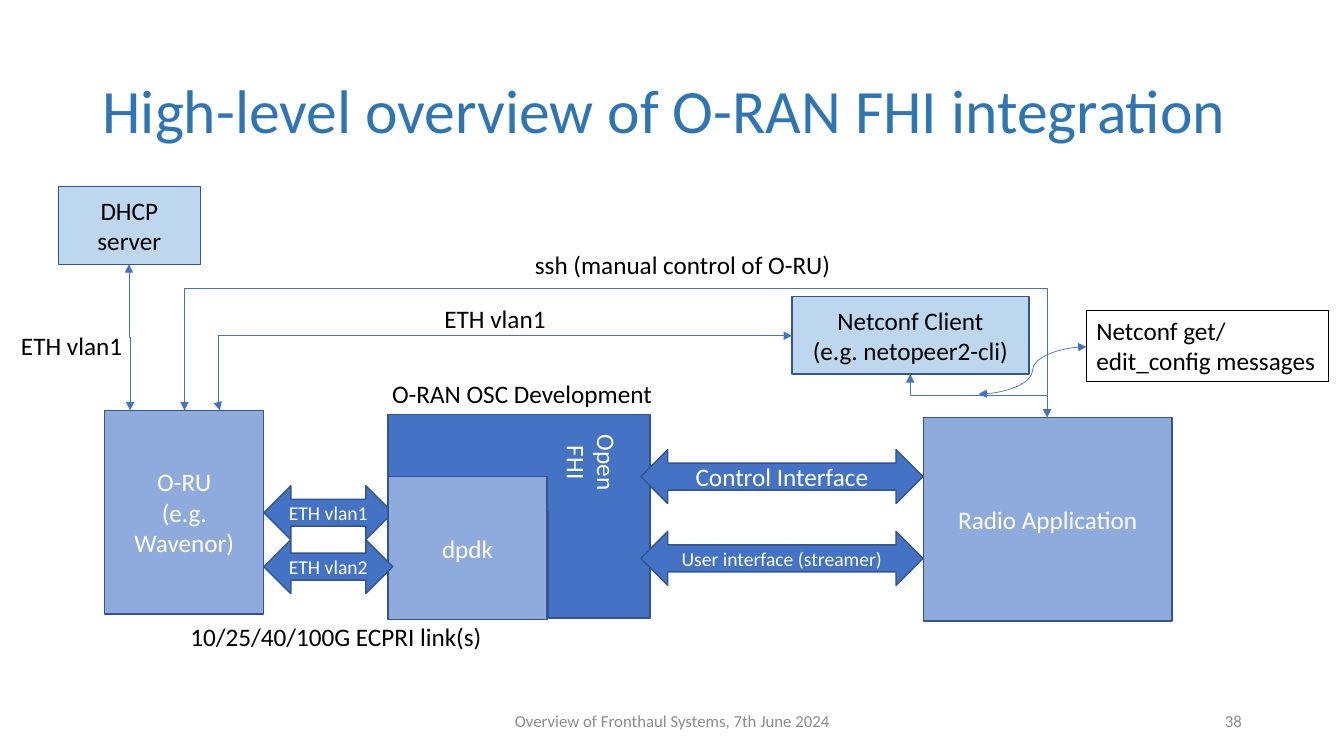
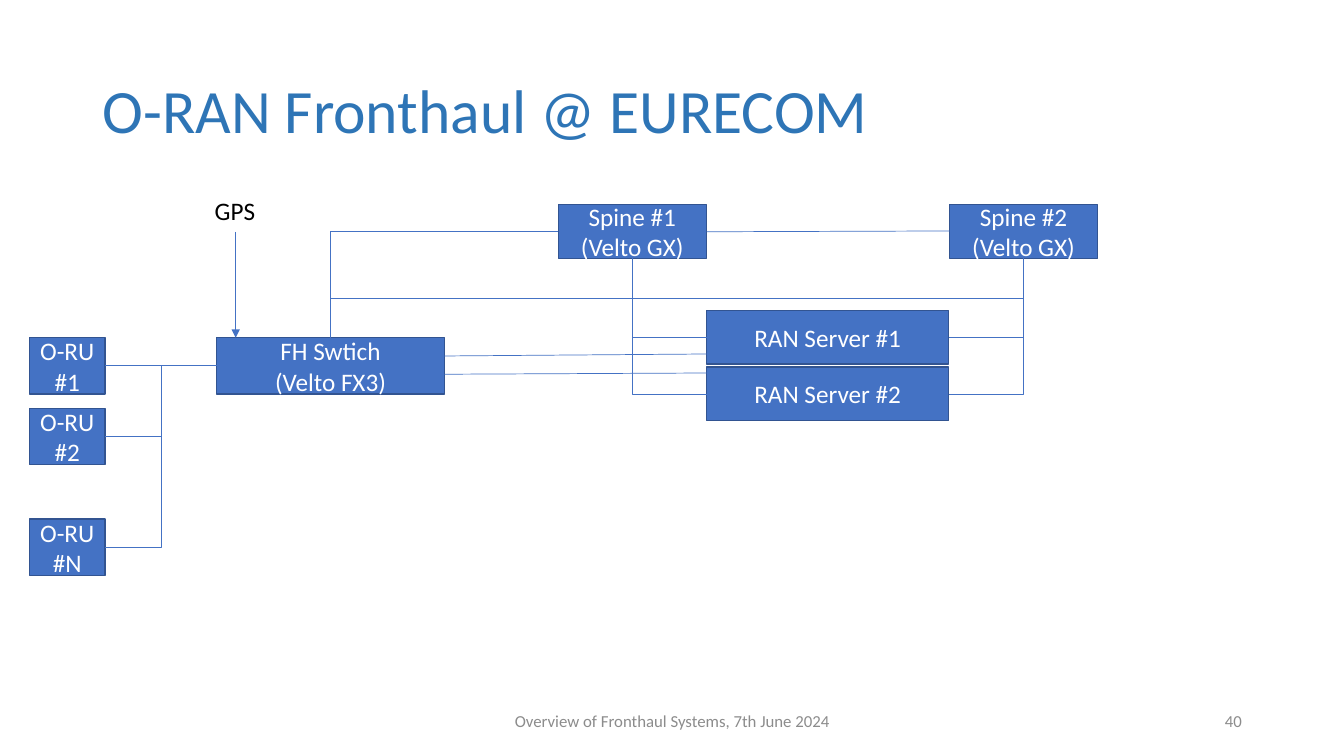
from dataclasses import dataclass

from lxml import etree
from pptx import Presentation
from pptx.dml.color import RGBColor
from pptx.enum import shapes, text
from pptx.oxml import ns
from pptx.util import Cm, Pt


@dataclass(frozen=True)
class Theme:
    font: str = "Calibri"
    blue: str = "4472C4"
    medium: str = "8FAADC"
    pale: str = "BDD7EE"
    outline: str = "325491"
    title: str = "2E75B6"
    footer: str = "8C8C8C"
    black: str = "000000"
    white: str = "FFFFFF"
    title_size: int = 44
    body_size: int = 18
    small_size: int = 14
    footer_size: int = 12


THEME = Theme()
LEFT, CENTER, RIGHT = text.PP_ALIGN.LEFT, text.PP_ALIGN.CENTER, text.PP_ALIGN.RIGHT
SHAPE = shapes.MSO_SHAPE
FOOTER = "Overview of Fronthaul Systems, 7th June 2024"


def write(shape, content, size, color, align, anchor=text.MSO_ANCHOR.MIDDLE):
    frame = shape.text_frame
    frame.text = content
    frame.vertical_anchor = anchor
    for para in frame.paragraphs:
        para.alignment = align
        for span in para.runs:
            span.font.size = Pt(size)
            span.font.name = THEME.font
            span.font.color.rgb = RGBColor.from_string(color)


def place(shape, area):
    shape.left, shape.top, shape.width, shape.height = map(Cm, area)


# Shared page furniture
def add_page(deck, title, number):
    page = deck.slides.add_slide(deck.slide_layouts[5])
    heading = page.shapes.title
    place(heading, (2.33, 1.02, 29.2, 3.68))
    write(heading, title, THEME.title_size, THEME.title, LEFT)
    heading.text_frame.auto_size = text.MSO_AUTO_SIZE.NONE
    heading.text_frame.paragraphs[0].line_spacing = 0.9
    add_note(page, (11.23, 17.65, 11.43, 1.02), FOOTER, CENTER)
    add_note(page, (23.93, 17.65, 7.62, 1.02), str(number), RIGHT)
    return page


def add_note(page, area, content, align):
    box = page.shapes.add_textbox(*map(Cm, area))
    box.text_frame.word_wrap = True
    write(box, content, THEME.footer_size, THEME.footer, align)


# Diagram elements
def add_block(page, area, content="", fill=THEME.blue, color=THEME.white,
              size=THEME.body_size, kind=SHAPE.RECTANGLE):
    block = page.shapes.add_shape(kind, *map(Cm, area))
    block.shadow.inherit = False
    block.fill.solid()
    block.fill.fore_color.rgb = RGBColor.from_string(fill)
    block.line.color.rgb = RGBColor.from_string(THEME.outline)
    block.line.width = Pt(1)
    if content:
        write(block, content, size, color, CENTER)
    return block


def add_arrow(page, area, content, size=THEME.small_size):
    add_block(page, area, content, size=size, kind=SHAPE.LEFT_RIGHT_ARROW)


def add_label(page, left, top, width, content, height=1.02):
    label = page.shapes.add_textbox(Cm(left), Cm(top), Cm(width), Cm(height))
    label.text_frame.word_wrap = False
    label.text_frame.auto_size = text.MSO_AUTO_SIZE.SHAPE_TO_FIT_TEXT
    write(label, content, THEME.body_size, THEME.black, LEFT, text.MSO_ANCHOR.TOP)
    return label


def add_link(page, start, end, kind="line", vertical=False, bend=None, heads=()):
    """Join two points; a vertical link leaves its start up or down.

    bend is the position of the middle leg, in cm from the page edge.
    """
    (x1, y1), (x2, y2) = start, end
    dx, dy = x2 - x1, y2 - y1
    # Quarter turns clockwise that bring the preset's first leg into line
    turns = 0
    if kind != "line":
        turns = (1 if dx < 0 else 3) if vertical else (2 if dx < 0 else 0)
    half_x, half_y = [(dx, dy), (dy, -dx), (-dx, -dy), (-dy, dx)][turns]
    mid_x, mid_y = (x1 + x2) / 2, (y1 + y2) / 2
    link = page.shapes.add_connector(
        shapes.MSO_CONNECTOR.STRAIGHT,
        Cm(mid_x - half_x / 2), Cm(mid_y - half_y / 2),
        Cm(mid_x + half_x / 2), Cm(mid_y + half_y / 2))
    link.line.color.rgb = RGBColor.from_string(THEME.blue)
    link.line.width = Pt(0.5)

    properties = link._element.spPr
    if turns:
        properties.find(ns.qn("a:xfrm")).set("rot", str(turns * 5400000))
    geometry = properties.find(ns.qn("a:prstGeom"))
    geometry.set("prst", kind)
    if bend is not None:
        share = (bend - y1) / dy if vertical else (bend - x1) / dx
        guide = etree.SubElement(geometry.find(ns.qn("a:avLst")), ns.qn("a:gd"))
        guide.set("name", "adj1")
        guide.set("fmla", f"val {round(share * 100000)}")
    outline = properties.find(ns.qn("a:ln"))
    for head in heads:
        etree.SubElement(outline, ns.qn(f"a:{head}")).set("type", "triangle")
    etree.SubElement(properties, ns.qn("a:effectLst"))


# Slides
def build_integration(deck):
    page = add_page(deck, "High-level overview of O-RAN FHI integration", 38)
    both = ("headEnd", "tailEnd")

    # Open FHI library around dpdk
    library = add_block(page, (9.78, 10.44, 6.6, 5.13), kind=SHAPE.CORNER)
    library.rotation = 180
    library.adjustments[0] = 0.48
    library.adjustments[1] = 0.5
    name = page.shapes.add_textbox(Cm(13.92), Cm(10.76), Cm(2), Cm(1.8))
    name.rotation = 90
    name.text_frame.word_wrap = True
    write(name, "Open FHI", THEME.body_size, THEME.white, CENTER)

    # Radio units, application and interfaces
    add_block(page, (23.27, 10.52, 6.27, 5.13), "Radio Application", THEME.medium)
    add_arrow(page, (16.15, 13.39, 7.11, 1.36), "User interface (streamer)")
    add_arrow(page, (16.15, 11.33, 7.11, 1.36), "Control Interface", THEME.body_size)
    add_block(page, (2.64, 10.34, 4.01, 5.13), "O-RU\n(e.g. Wavenor)", THEME.medium)
    add_arrow(page, (6.65, 12.24, 3.25, 1.36), "ETH vlan1")
    add_block(page, (9.78, 12.01, 4.01, 3.61), "dpdk", THEME.medium)
    add_arrow(page, (6.65, 13.6, 3.25, 1.36), "ETH vlan2")

    # Management hosts
    add_block(page, (19.96, 7.47, 5.97, 1.96), "Netconf Client\n(e.g. netopeer2-cli)",
              THEME.pale, THEME.black)
    add_block(page, (1.47, 4.7, 3.58, 1.96), "DHCP server", THEME.pale, THEME.black)

    # Links
    bent = "bentConnector3"
    radio_top = (26.39, 10.52)
    add_link(page, (4.65, 10.34), radio_top, bent, True, 7.26, both)
    add_link(page, (19.96, 8.46), (5.54, 10.34), bent, False, 5.49, both)
    add_link(page, (22.94, 9.43), radio_top, bent, True, heads=both)
    add_link(page, (3.25, 6.66), (3.28, 10.34), bent, True, heads=both)
    add_link(page, (27.38, 8.74), (24.66, 9.93), "curvedConnector3", heads=both)

    # Labels
    for label in (
        (13.23, 6.15, 8.18, "ssh (manual control of O-RU)"),
        (9.63, 9.42, 7.14, "O-RAN OSC Development"),
        (4.55, 15.54, 7.92, "10/25/40/100G ECPRI link(s)"),
        (10.95, 7.52, 3.1, "ETH vlan1"),
        (0.28, 8.2, 3.1, "ETH vlan1"),
    ):
        add_label(page, *label)
    messages = add_label(page, 27.38, 7.82, 6.1,
                         "Netconf get/\nedit_config messages", 1.8)
    messages.line.color.rgb = RGBColor.from_string(THEME.black)
    messages.line.width = Pt(0.75)


def build_site(deck):
    page = add_page(deck, "O-RAN Fronthaul @ EURECOM", 40)
    corner, bent = "bentConnector2", "bentConnector3"

    # Spine switches
    for number, left in enumerate((14.07, 23.93), 1):
        add_block(page, (left, 5.16, 3.73, 1.35), f"Spine #{number}\n(Velto GX)")
    spine_1, spine_2 = (15.94, 6.51), (25.79, 6.51)

    # Servers, each linked to both spines
    for number, top in enumerate((7.82, 9.25), 1):
        add_block(page, (17.81, top, 6.1, 1.35), f"RAN Server #{number}")
        middle = top + 0.68
        add_link(page, spine_1, (17.81, middle), corner, True)
        add_link(page, spine_2, (23.91, middle), corner, True)

    # Fronthaul switch and its links
    add_block(page, (5.46, 8.51, 5.74, 1.42), "FH Swtich\n(Velto FX3)")
    switch_top = (8.33, 8.51)
    add_link(page, (17.81, 8.92), (11.2, 8.97))
    add_link(page, (17.81, 9.4), (11.2, 9.43))
    add_link(page, (17.81, 5.84), (23.93, 5.82))
    add_link(page, (14.07, 5.84), switch_top, corner)
    add_link(page, spine_2, switch_top, bent, True)

    # Radio units
    for name, top in (("1", 8.51), ("2", 10.29), ("N", 13.08)):
        add_block(page, (0.74, top, 1.91, 1.42), f"O-RU #{name}")
        kind = "line" if name == "1" else bent
        add_link(page, (5.46, 9.22), (2.65, top + 0.71), kind)

    # Clock source
    add_link(page, (5.94, 5.84), (5.94, 8.51), heads=("tailEnd",))
    add_label(page, 5.16, 4.8, 1.55, "GPS")


def main():
    deck = Presentation()
    deck.slide_width, deck.slide_height = Cm(33.87), Cm(19.05)
    build_integration(deck)
    build_site(deck)
    deck.save("out.pptx")


if __name__ == "__main__":
    main()
